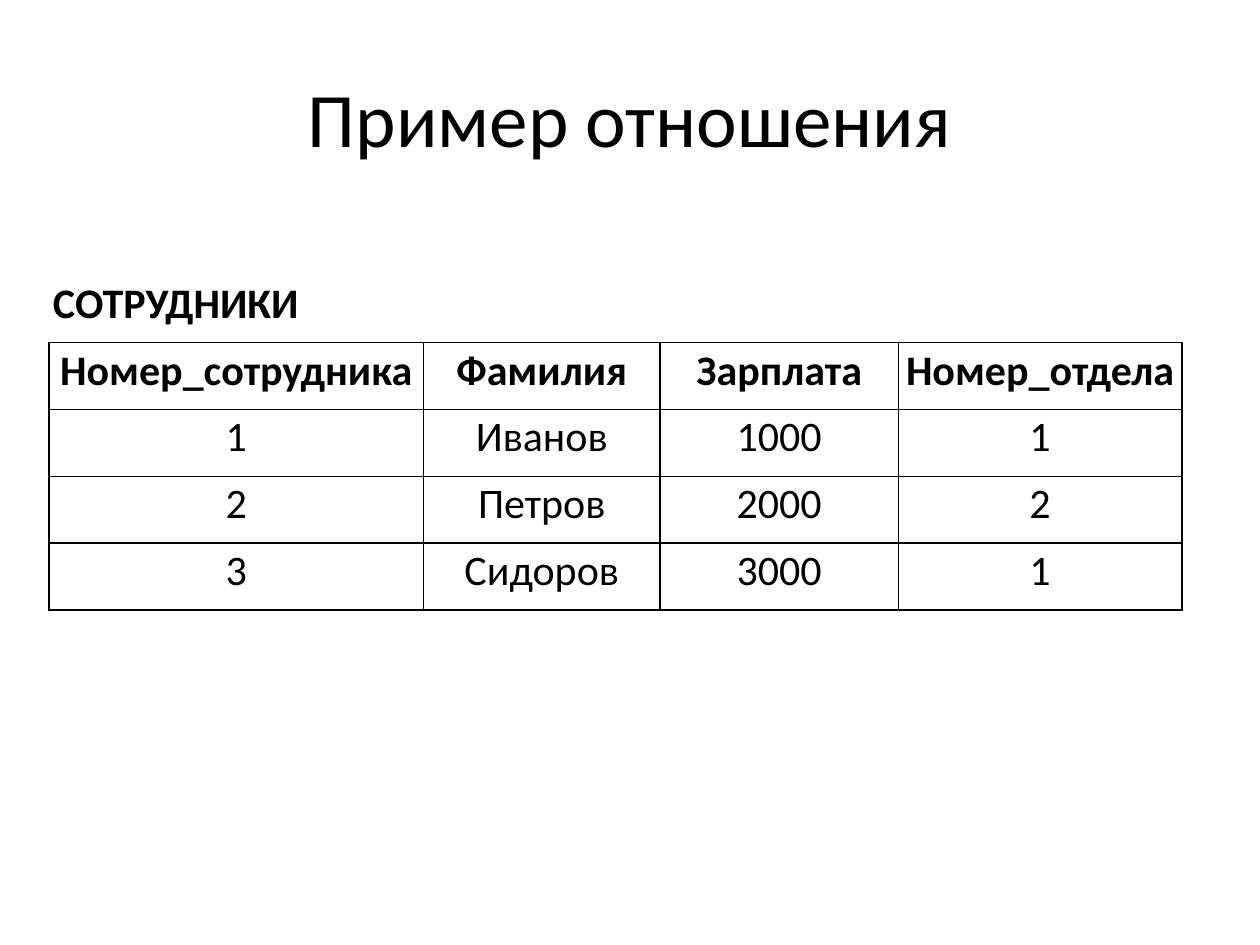
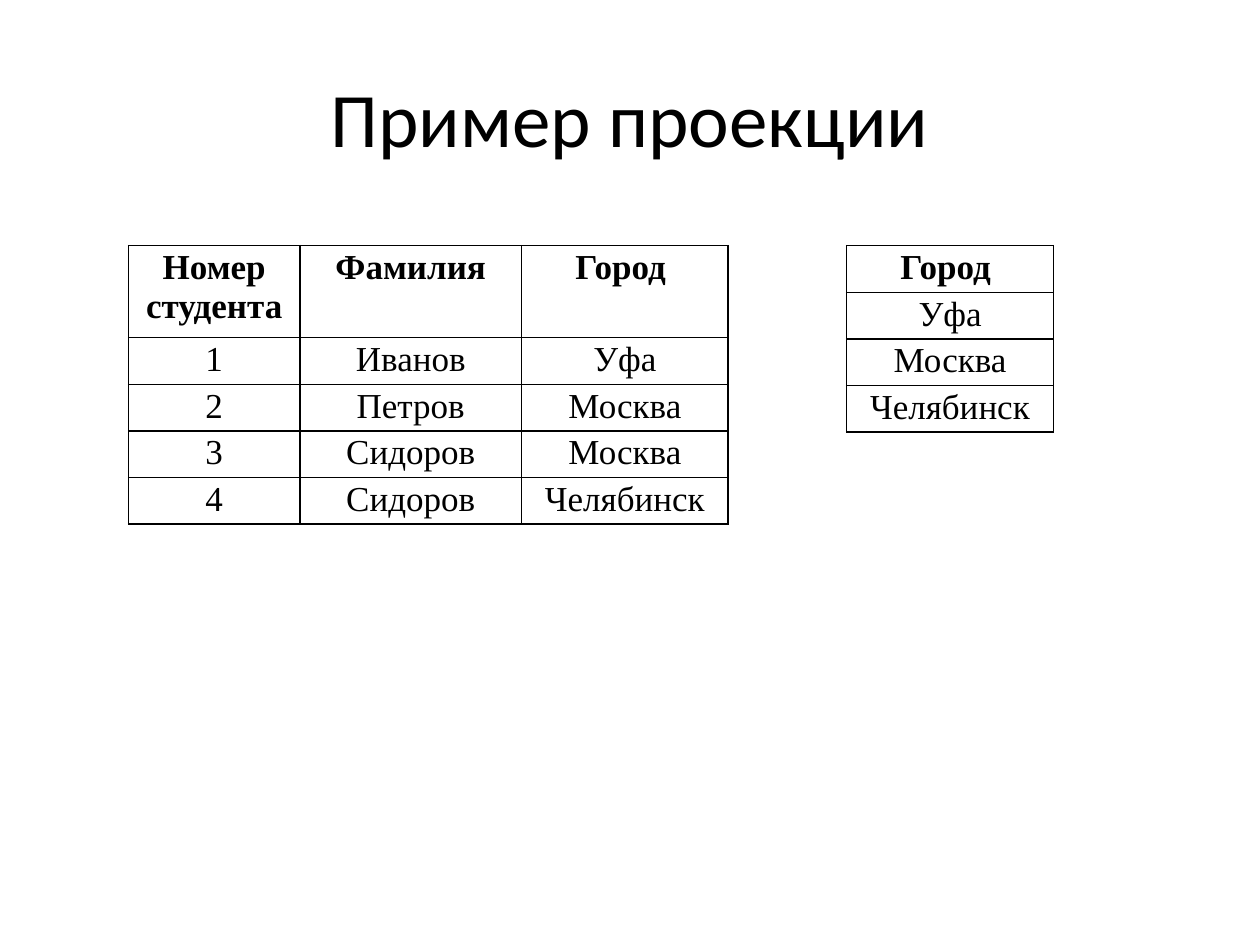
"""Build two slides that show example relations as tables."""
from lxml import etree
from pptx import Presentation
from pptx import util as u
from pptx.dml.color import RGBColor
from pptx.enum import text
from pptx.oxml.ns import qn

COLORS = {"ink": "000000", "paper": "FFFFFF"}


class Deck:
    """Hold the shared style and the current slide."""

    def __init__(self):
        self.prs = Presentation()
        self.prs.slide_width = u.Inches(10)
        self.prs.slide_height = u.Inches(7.5)
        self.s = None

    def format(self, p, font, size, bold=False, align=text.PP_ALIGN.CENTER):
        """Align a paragraph and style its runs."""
        p.alignment = align
        for r in p.runs:
            r.font.name = font
            r.font.size = u.Pt(size)
            r.font.bold = bold
            r.font.color.rgb = RGBColor.from_string(COLORS["ink"])

    def slide(self, title):
        """Start a slide with a centred title."""
        self.s = self.prs.slides.add_slide(self.prs.slide_layouts[5])
        fill = self.s.background.fill
        fill.solid()
        fill.fore_color.rgb = RGBColor.from_string(COLORS["paper"])
        sp = self.s.shapes.title
        sp.left, sp.top = u.Inches(0.5), u.Inches(0.3)
        sp.width, sp.height = u.Inches(9), u.Inches(1.25)
        tf = sp.text_frame
        tf.text = title
        tf.vertical_anchor = text.MSO_ANCHOR.MIDDLE
        self.format(tf.paragraphs[0], "Calibri", 44)

    def borders(self, cell, sides):
        """Rule the named sides of a cell and clear the others."""
        tc_pr = cell._tc.get_or_add_tcPr()
        for side in "LRTB":
            ln = etree.SubElement(tc_pr, qn(f"a:ln{side}"), w=str(u.Pt(1)))
            if side in sides:
                fill = etree.SubElement(ln, qn("a:solidFill"))
                etree.SubElement(fill, qn("a:srgbClr"), val=COLORS["ink"])
            else:
                etree.SubElement(ln, qn("a:noFill"))

    def cell(self, cell, value, sides="LRTB", **style):
        """Fill one cell with styled text."""
        cell.margin_left = cell.margin_right = u.Inches(0.03)
        cell.margin_top = cell.margin_bottom = u.Inches(0.02)
        self.borders(cell, sides)
        cell.fill.background()
        cell.text_frame.text = value
        self.format(cell.text_frame.paragraphs[0], **style)

    def table(self, left, top, widths, heights, rows, font, size, caption=None):
        """Add a ruled table with a bold header and an optional caption row."""
        header = 0
        if caption:
            rows = [[caption] + [""] * (len(widths) - 1)] + rows
            header = 1
        frame = self.s.shapes.add_table(
            len(rows), len(widths), u.Inches(left), u.Inches(top),
            u.Inches(sum(widths)), u.Inches(sum(heights)))
        tbl = frame.table
        tbl.first_row = tbl.horz_banding = False
        for col, width in zip(tbl.columns, widths):
            col.width = u.Inches(width)
        for i, (row, height) in enumerate(zip(rows, heights)):
            tbl.rows[i].height = u.Inches(height)
            style = {"font": font, "size": size, "bold": i <= header}
            if i < header:
                style.update(sides="B", align=text.PP_ALIGN.LEFT)
            for j, value in enumerate(row):
                self.cell(tbl.cell(i, j), value, **style)


def main():
    deck = Deck()

    deck.slide("Пример отношения")
    employees = [
        ["Номер_сотрудника", "Фамилия", "Зарплата", "Номер_отдела"],
        ["1", "Иванов", "1000", "1"],
        ["2", "Петров", "2000", "2"],
        ["3", "Сидоров", "3000", "1"],
    ]
    deck.table(0.39, 2.19, [2.97, 1.88, 1.89, 2.25], [0.53] * 5, employees,
               "Calibri", 24, caption="СОТРУДНИКИ")

    deck.slide("Пример проекции")
    students = [
        ["Номер студента", "Фамилия", "Город "],
        ["1", "Иванов", "Уфа"],
        ["2", "Петров", "Москва"],
        ["3", "Сидоров", "Москва"],
        ["4", "Сидоров", "Челябинск"],
    ]
    cities = [[city] for city in dict.fromkeys(row[-1] for row in students)]
    top, city_width, row_height = 1.95, 1.64, 0.37
    deck.table(1.02, top, [1.36, 1.76, city_width], [0.73] + [row_height] * 4,
               students, "Times New Roman", 20)
    deck.table(6.72, top, [city_width], [row_height] * len(cities),
               cities, "Times New Roman", 20)

    deck.prs.save("out.pptx")


if __name__ == "__main__":
    main()
